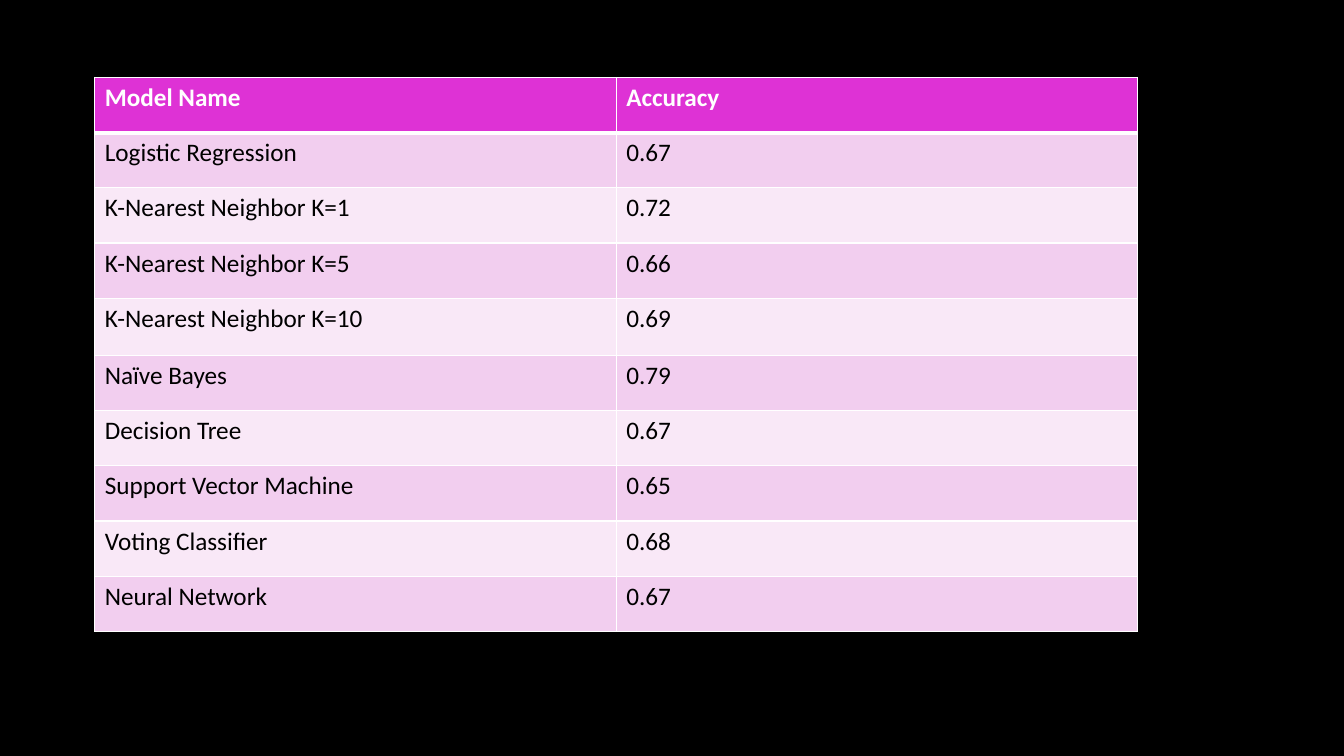
from dataclasses import dataclass

from lxml.etree import SubElement
from pptx import Presentation
from pptx.dml.color import RGBColor
from pptx.oxml.ns import qn
from pptx.util import Inches, Pt


@dataclass(frozen=True)
class Theme:
    background: str = "000000"
    header: str = "DE32D5"
    bands: tuple = ("F2CEEF", "F9E8F7")
    header_text: str = "FFFFFF"
    body_text: str = "000000"
    border: str = "FFFFFF"
    font: str = "Calibri"
    text_size: int = 18
    thin: int = 1
    thick: int = 3


MODELS = [
    ("Model Name", "Accuracy"),
    ("Logistic Regression", "0.67"),
    ("K-Nearest Neighbor K=1", "0.72"),
    ("K-Nearest Neighbor K=5", "0.66"),
    ("K-Nearest Neighbor K=10", "0.69"),
    ("Naïve Bayes", "0.79"),
    ("Decision Tree", "0.67"),
    ("Support Vector Machine", "0.65"),
    ("Voting Classifier", "0.68"),
    ("Neural Network", "0.67"),
]
ROW_PERCENT = 7.3
TALL_ROWS = {4: 7.6}


class SlideBuilder:
    def __init__(self, presentation, theme):
        self.theme = theme
        self.width = presentation.slide_width
        self.height = presentation.slide_height
        self.slide = presentation.slides.add_slide(presentation.slide_layouts[6])
        self.fill(self.slide.background.fill, theme.background)

    def across(self, percent):
        return round(self.width * percent / 100)

    def down(self, percent):
        return round(self.height * percent / 100)

    def fill(self, target, color):
        target.solid()
        target.fore_color.rgb = RGBColor.from_string(color)

    def borders(self, cell, widths):
        properties = cell._tc.get_or_add_tcPr()
        for position, (side, points) in enumerate(widths.items()):
            line = properties.makeelement(qn(f"a:{side}"), {"w": str(Pt(points))})
            solid = SubElement(line, qn("a:solidFill"))
            SubElement(solid, qn("a:srgbClr"), val=self.theme.border)
            properties.insert(position, line)

    def cell(self, cell, text, row):
        theme = self.theme
        is_header = row == 0
        cell.text = text
        font = cell.text_frame.paragraphs[0].runs[0].font
        formats = {"name": theme.font, "size": Pt(theme.text_size), "bold": is_header}
        for name, value in formats.items():
            setattr(font, name, value)
        self.fill(font.fill, theme.header_text if is_header else theme.body_text)
        self.fill(cell.fill, theme.header if is_header else theme.bands[(row - 1) % 2])
        self.borders(cell, {
            "lnL": theme.thin,
            "lnR": theme.thin,
            "lnT": theme.thick if row == 1 else theme.thin,
            "lnB": theme.thick if is_header else theme.thin,
        })

    def table(self, records, left, top, column_percent, row_percents):
        columns = len(records[0])
        table = self.slide.shapes.add_table(
            len(records), columns, self.across(left), self.down(top),
            self.across(column_percent * columns), self.down(sum(row_percents)),
        ).table
        for column in table.columns:
            column.width = self.across(column_percent)
        for row, (record, percent) in enumerate(zip(records, row_percents)):
            table.rows[row].height = self.down(percent)
            for column, text in enumerate(record):
                self.cell(table.cell(row, column), text, row)


def main():
    presentation = Presentation()
    presentation.slide_width = Inches(13.33)
    presentation.slide_height = Inches(7.5)
    builder = SlideBuilder(presentation, Theme())
    heights = [TALL_ROWS.get(row, ROW_PERCENT) for row in range(len(MODELS))]
    builder.table(MODELS, 7.05, 10.25, 38.8, heights)
    presentation.save("out.pptx")


if __name__ == "__main__":
    main()
